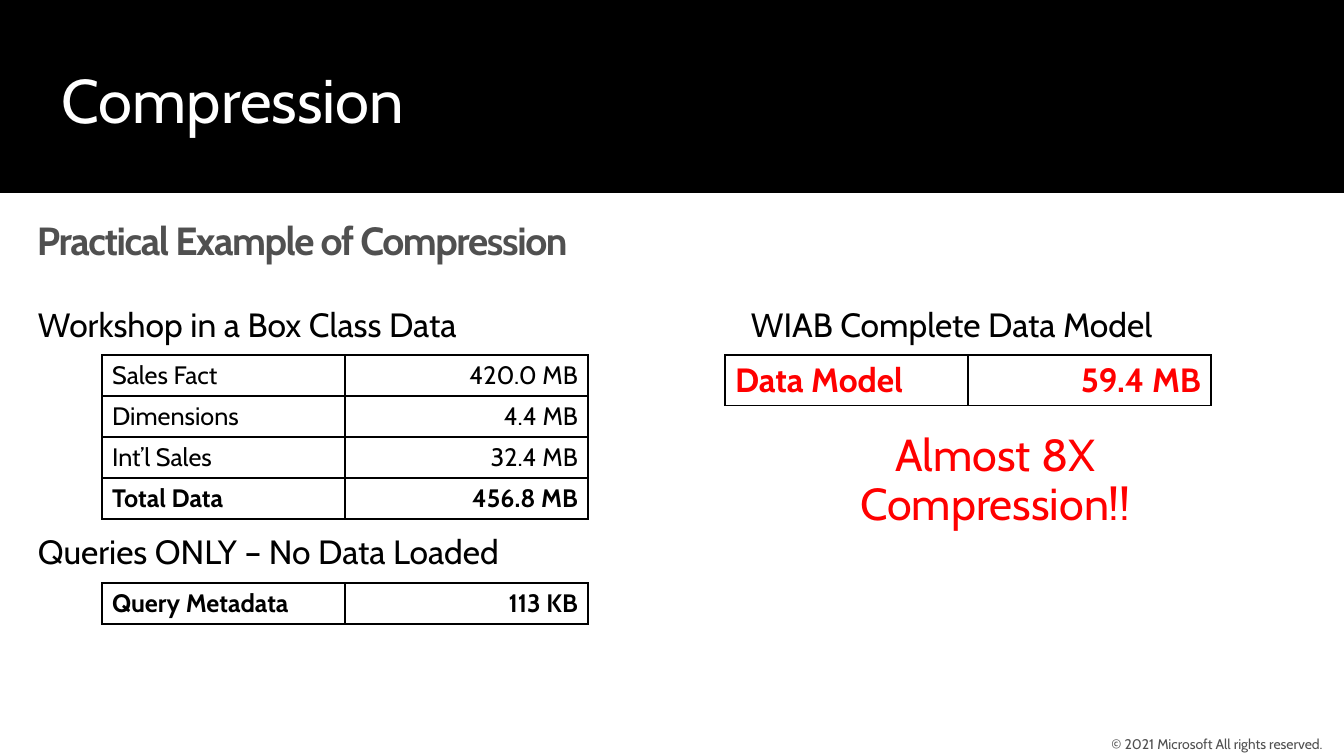
from lxml.etree import SubElement, Element
from pptx import Presentation
from pptx.dml.color import RGBColor
from pptx.enum.shapes import MSO_SHAPE as SHAPE
from pptx.enum.text import MSO_ANCHOR as ANCHOR, PP_ALIGN as ALIGN
from pptx.oxml.ns import qn
from pptx.util import Emu, Pt

SCALE = 914400 / 100.8
BLACK, WHITE, GREY, RED = "000000", "FFFFFF", "505050", "FF0000"


def px(length):
    """Turn a length in px into EMU."""
    return Emu(round(length * SCALE))


def color(hex_value):
    """Turn a hex string into a colour."""
    return RGBColor.from_string(hex_value)


def set_all(target, **values):
    """Set every given attribute on the target."""
    for name, value in values.items():
        setattr(target, name, value)


def write(paragraph, words, size, hex_value, bold=False, align=ALIGN.LEFT):
    """Write one formatted run into a paragraph and return the run."""
    paragraph.alignment = align
    run = paragraph.add_run()
    run.text = words
    set_all(run.font, name="Cabin", size=Pt(size), bold=bold)
    run.font.color.rgb = color(hex_value)
    return run


def add_label(slide, box, words, size, hex_value, bold=False, align=ALIGN.LEFT,
              spacing=0.9, after=6, frame_format=None):
    """Place a text box and return its run."""
    frame = slide.shapes.add_textbox(*map(px, box)).text_frame
    set_all(frame, **{"word_wrap": True, **(frame_format or {})})
    paragraph = frame.paragraphs[0]
    set_all(paragraph, line_spacing=spacing, space_after=Pt(after))
    return write(paragraph, words, size, hex_value, bold, align)


def add_borders(cell):
    """Draw a thin black line on each side of a cell."""
    properties = cell._tc.get_or_add_tcPr()
    for index, side in enumerate(("lnL", "lnR", "lnT", "lnB")):
        line = Element(qn(f"a:{side}"), w=str(Pt(1)))
        fill = SubElement(line, qn("a:solidFill"))
        SubElement(fill, qn("a:srgbClr"), val=BLACK)
        properties.insert(index, line)


def add_sizes(slide, left, top, row_height, sizes, bold_rows=(), size=18, hex_value=BLACK):
    """Place a two-column table of names and data sizes."""
    frame = slide.shapes.add_table(len(sizes), 2, px(left), px(top),
                                   px(486), px(row_height * len(sizes)))
    table = frame.table
    set_all(table, first_row=False, horz_banding=False)
    for row, entry in enumerate(sizes):
        for column, (words, align) in enumerate(zip(entry, (ALIGN.LEFT, ALIGN.RIGHT))):
            cell = table.cell(row, column)
            cell.fill.background()
            add_borders(cell)
            write(cell.text_frame.paragraphs[0], words, size, hex_value, row in bold_rows, align)


def add_header(slide, left, top, width, height):
    """Place the black band with the slide topic."""
    band = slide.shapes.add_shape(SHAPE.RECTANGLE, *map(px, (left, top, width, height)))
    band.shadow.inherit = False
    band.fill.solid()
    band.fill.fore_color.rgb = color(BLACK)
    band.line.fill.background()
    add_label(slide, (left + 52, top + 57, 674, 85), "Compression", 44, WHITE,
              spacing=1.0, after=0)


def add_heading(slide, left, top, width, height):
    """Place the tightly spaced heading under the band."""
    insets = dict(margin_left=px(16), margin_right=px(16), margin_top=px(10), margin_bottom=px(10))
    heading = add_label(slide, (left, top, width, height), "Practical Example of Compression",
                        28, GREY, bold=True, after=0, frame_format=insets)
    heading.font._element.set("spc", "-100")


def add_source_data(slide, left, top, width):
    """Place the class data and query sizes."""
    class_data = [("Sales Fact", "420.0 MB"), ("Dimensions", "4.4 MB"),
                  ("Int’l Sales", "32.4 MB"), ("Total Data", "456.8 MB")]
    sections = [(0, "Workshop in a Box Class Data", class_data, (3,)),
                (228, "Queries ONLY – No Data Loaded", [("Query Metadata", "113 KB")], (0,))]
    for offset, caption, sizes, bold_rows in sections:
        add_label(slide, (left, top + offset, width, 46), caption, 24, BLACK)
        add_sizes(slide, left + 74, top + offset + 52, 41, sizes, bold_rows)


def add_model(slide, left, top, width):
    """Place the compressed model size and the conclusion."""
    add_label(slide, (left + 16, top, width, 46), "WIAB Complete Data Model", 24, BLACK)
    add_sizes(slide, left, top + 52, 50, [("Data Model", "59.4 MB")], (0,), 24, RED)
    add_label(slide, (left + 43, top + 125, width, 108), "Almost 8X Compression!!", 32, RED,
              align=ALIGN.CENTER)


def add_footer(slide, left, top, width, height):
    """Place the copyright line."""
    insets = dict(margin_left=0, margin_right=0, margin_top=0, margin_bottom=0,
                  vertical_anchor=ANCHOR.MIDDLE)
    add_label(slide, (left, top, width, height), "© 2021 Microsoft All rights reserved.", 10, GREY,
              align=ALIGN.CENTER, spacing=1.0, after=0, frame_format=insets)


def main():
    """Build the slide and save it."""
    deck = Presentation()
    set_all(deck, slide_width=px(1344), slide_height=px(756))
    slide = deck.slides.add_slide(deck.slide_layouts[6])
    add_header(slide, 0, 0, 1344, 193)
    add_heading(slide, 21, 212, 1285, 57)
    add_source_data(slide, 28, 303, 560)
    add_model(slide, 725, 303, 455)
    add_footer(slide, 1092, 732, 250, 24)
    deck.save("out.pptx")


if __name__ == "__main__":
    main()
